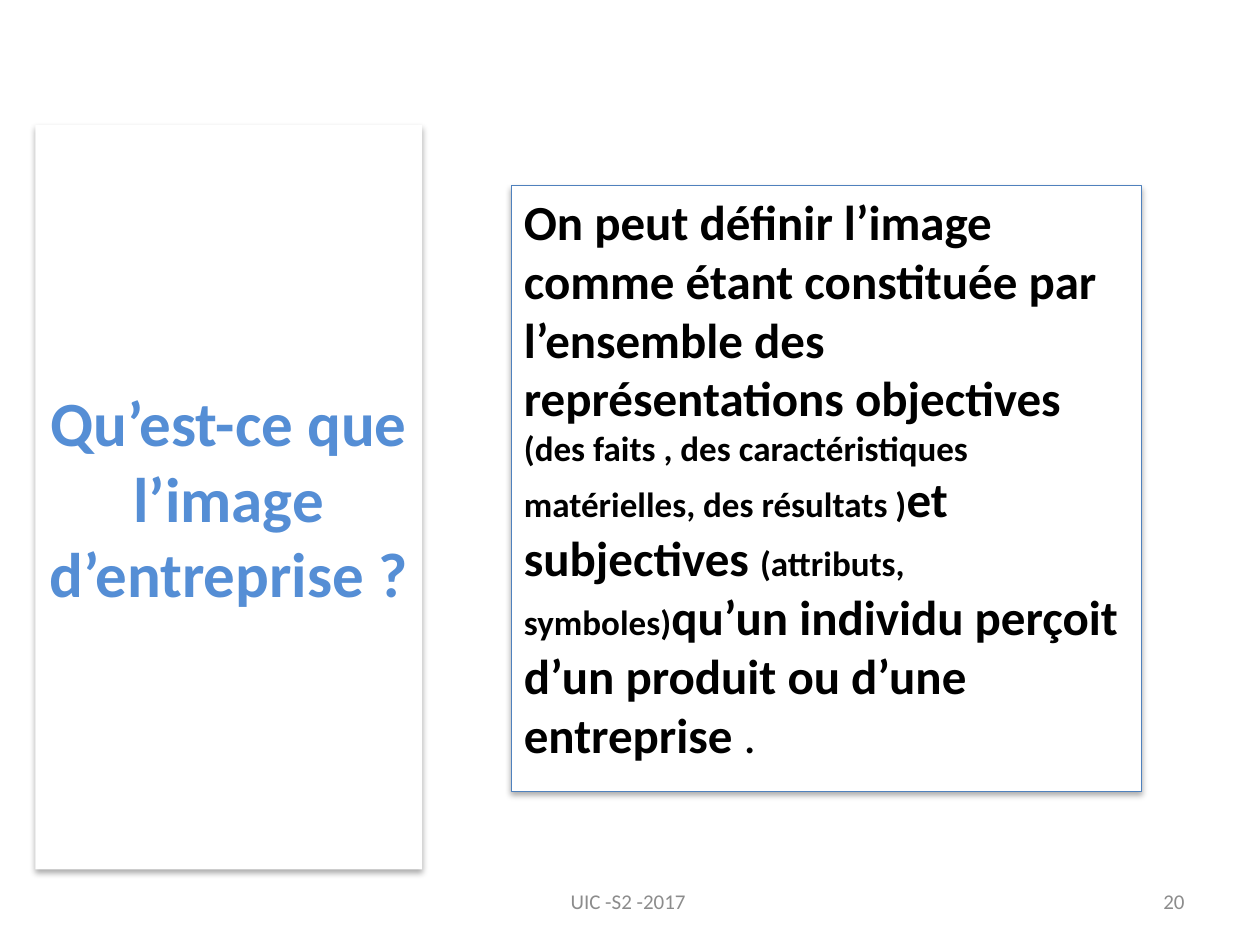
from dataclasses import dataclass

from lxml import etree
from pptx import Presentation
from pptx import util as u
from pptx.dml.color import RGBColor
from pptx.enum import shapes, text
from pptx.oxml import ns

DEFINITION = [
    ("On peut définir l’image comme étant constituée par l’ensemble des représentations objectives ", 28, True),
    ("(des faits , des caractéristiques matérielles, des résultats )", 20, True),
    ("et subjectives ", 28, True),
    ("(attributs, symboles)", 20, True),
    ("qu’un individu perçoit d’un produit ou d’une entreprise ", 28, True),
    (".", 28, False),
]


def color(value):
    """Turn a hex string into a colour."""
    return RGBColor.from_string(value)


@dataclass
class SlideBuilder:
    """Hold the style and the current slide."""

    page: object
    font: str = "Calibri"
    paper: str = "FFFFFF"
    ink: str = "000000"
    accent: str = "558ED5"
    border: str = "4F81BD"
    muted: str = "8C8C8C"

    def place(self, shape, left, top, width, height):
        """Set the position and size of a shape."""
        shape.left, shape.top = u.Inches(left), u.Inches(top)
        shape.width, shape.height = u.Inches(width), u.Inches(height)

    def format_span(self, span, size, hue, bold=False):
        """Format one run of text."""
        span.font.name = self.font
        span.font.size = u.Pt(size)
        span.font.bold = bold
        span.font.color.rgb = color(hue)

    def card(self, shape):
        """Give a shape a plain fill and a soft shadow below."""
        shape.fill.solid()
        shape.fill.fore_color.rgb = color(self.paper)
        shape.shadow.inherit = False
        effects = shape._element.spPr.find(ns.qn("a:effectLst"))
        shadow = etree.SubElement(
            effects, ns.qn("a:outerShdw"), blurRad=str(u.Pt(3.5)),
            dist=str(u.Pt(2.2)), dir="5400000", rotWithShape="0")
        tint = etree.SubElement(shadow, ns.qn("a:srgbClr"), val=self.ink)
        etree.SubElement(tint, ns.qn("a:alpha"), val="32000")

    def title(self, words, *bounds):
        """Move and format the title placeholder."""
        shape = self.page.shapes.title
        self.place(shape, *bounds)
        self.card(shape)
        frame = shape.text_frame
        frame.text = words
        frame.word_wrap = True
        frame.auto_size = text.MSO_AUTO_SIZE.NONE
        frame.vertical_anchor = text.MSO_ANCHOR.MIDDLE
        para = frame.paragraphs[0]
        para.alignment = text.PP_ALIGN.CENTER
        self.format_span(para.runs[0], 36, self.accent, True)

    def definition(self, spans, *bounds):
        """Add a bordered card of mixed text sizes."""
        box = self.page.shapes.add_shape(
            shapes.MSO_SHAPE.RECTANGLE, *map(u.Inches, bounds))
        box.line.color.rgb = color(self.border)
        box.line.width = u.Pt(0.75)
        self.card(box)
        frame = box.text_frame
        frame.word_wrap = True
        frame.auto_size = text.MSO_AUTO_SIZE.SHAPE_TO_FIT_TEXT
        frame.vertical_anchor = text.MSO_ANCHOR.TOP
        para = frame.paragraphs[0]
        para.alignment = text.PP_ALIGN.LEFT
        for words, size, bold in spans:
            span = para.add_run()
            span.text = words
            self.format_span(span, size, self.ink, bold)

    def footer(self, words, alignment, left, width):
        """Add a small text on the footer line."""
        box = self.page.shapes.add_textbox(
            *map(u.Inches, (left, 6.95, width, 0.4)))
        frame = box.text_frame
        frame.text = words
        frame.word_wrap = True
        frame.vertical_anchor = text.MSO_ANCHOR.MIDDLE
        para = frame.paragraphs[0]
        para.alignment = alignment
        self.format_span(para.runs[0], 12, self.muted)


def main():
    """Build and save the slide."""
    deck = Presentation()
    deck.slide_width, deck.slide_height = u.Inches(10), u.Inches(7.5)
    builder = SlideBuilder(deck.slides.add_slide(deck.slide_layouts[5]))
    builder.title("Qu’est-ce que l’image d’entreprise ?", 0.28, 0.99, 3.07, 5.91)
    builder.footer("UIC -S2 -2017 ", text.PP_ALIGN.CENTER, 3.42, 3.17)
    builder.footer("20", text.PP_ALIGN.RIGHT, 7.17, 2.33)
    builder.definition(DEFINITION, 4.06, 1.47, 5, 4.81)
    deck.save("out.pptx")


if __name__ == "__main__":
    main()
